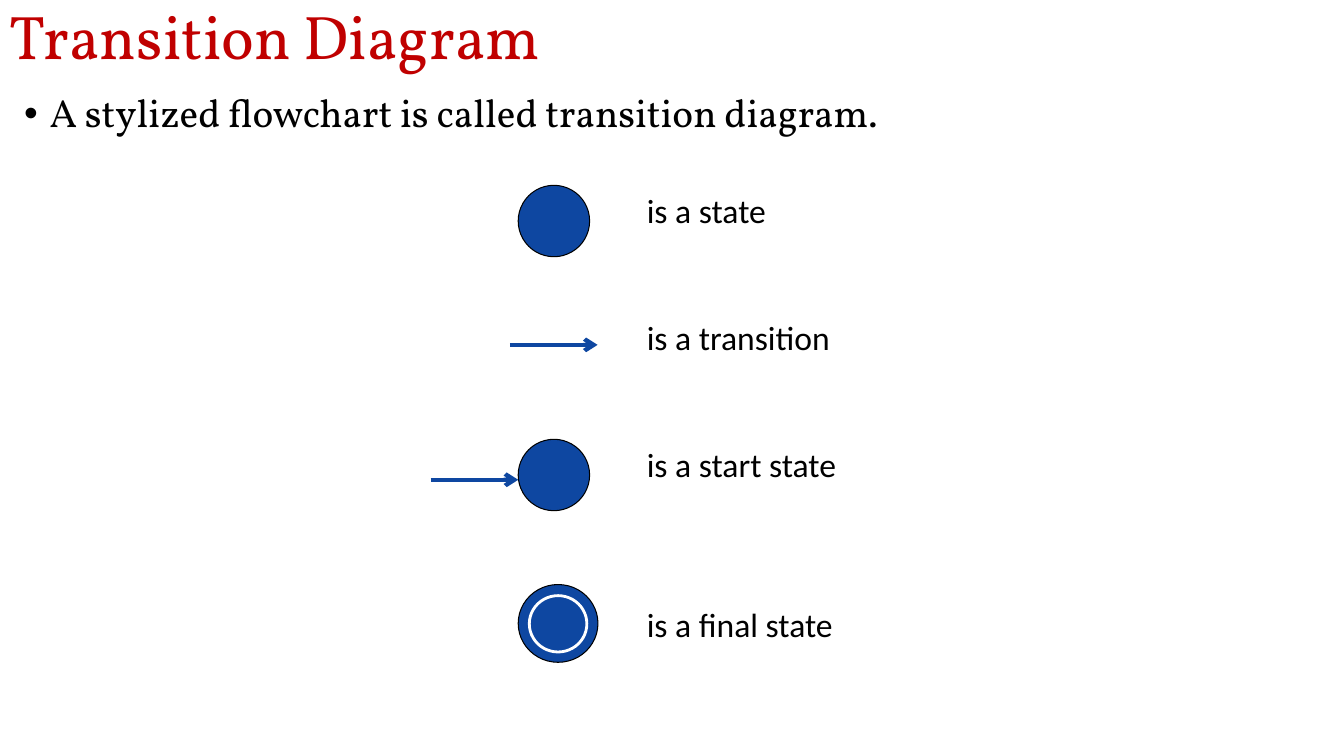
from dataclasses import dataclass

from lxml import etree
from pptx import Presentation
from pptx.dml.color import RGBColor
from pptx.enum.shapes import MSO_CONNECTOR, MSO_SHAPE
from pptx.enum.text import MSO_ANCHOR, MSO_AUTO_SIZE, PP_ALIGN
from pptx.oxml.ns import qn
from pptx.util import Cm, Pt

OVAL = MSO_SHAPE.OVAL
STRAIGHT = MSO_CONNECTOR.STRAIGHT
MIDDLE = MSO_ANCHOR.MIDDLE
JUSTIFY = PP_ALIGN.JUSTIFY
GROW = MSO_AUTO_SIZE.SHAPE_TO_FIT_TEXT


@dataclass(frozen=True)
class Theme:
    red: RGBColor = RGBColor(0xC0, 0x00, 0x00)
    blue: RGBColor = RGBColor(0x0E, 0x47, 0xA1)
    black: RGBColor = RGBColor(0x00, 0x00, 0x00)
    white: RGBColor = RGBColor(0xFF, 0xFF, 0xFF)
    serif: str = "Vollkorn"
    sans: str = "Calibri"
    title: Pt = Pt(44)
    body: Pt = Pt(28)
    label: Pt = Pt(24)
    thin: Pt = Pt(0.75)
    ring: Pt = Pt(2)
    arrow: Pt = Pt(3)


def apply(target, values):
    for key, value in values.items():
        setattr(target, key, value)


class Page:
    def __init__(self, slide, theme):
        self.shapes = slide.shapes
        self.theme = theme

    def text(self, words, box, font, color, frame, para):
        """Add a one-paragraph text box and return its paragraph."""
        area = self.shapes.add_textbox(*map(Cm, box)).text_frame
        apply(area, frame)
        line = area.paragraphs[0]
        line.text = words
        apply(line, para)
        run = line.runs[0].font
        apply(run, font)
        run.color.rgb = color
        return line

    def title(self, words):
        t = self.theme
        self.text(words, (0, 0, 33.87, 1.98),
                  {"name": t.serif, "size": t.title}, t.red,
                  {"word_wrap": True, "vertical_anchor": MIDDLE},
                  {"line_spacing": 0.9})

    def bullet(self, words):
        t = self.theme
        line = self.text(words, (0.36, 2.24, 33.15, 15.52),
                         {"name": t.serif, "size": t.body}, t.black,
                         {"word_wrap": True},
                         {"line_spacing": 0.9, "alignment": JUSTIFY})
        props = line._p.get_or_add_pPr()
        indent = Cm(0.64)
        props.set("marL", str(indent))
        props.set("indent", str(-indent))
        face = etree.SubElement(props, qn("a:buFont"))
        face.set("typeface", "Arial")
        etree.SubElement(props, qn("a:buChar")).set("char", "•")

    def label(self, words, top, width):
        t = self.theme
        self.text(words, (16.05, top, width, 1.3),
                  {"name": t.sans, "size": t.label}, t.black,
                  {"word_wrap": False, "auto_size": GROW}, {})

    def state(self, left, top, width, height, edge, weight):
        disc = self.shapes.add_shape(OVAL, *map(Cm, (left, top, width, height)))
        disc.shadow.inherit = False
        disc.fill.solid()
        disc.fill.fore_color.rgb = self.theme.blue
        disc.line.color.rgb = edge
        disc.line.width = weight

    def arrow(self, left, y, length=2.21):
        link = self.shapes.add_connector(
            STRAIGHT, *map(Cm, (left, y, left + length, y)))
        link.line.color.rgb = self.theme.blue
        link.line.width = self.theme.arrow
        head = etree.SubElement(link.line._get_or_add_ln(), qn("a:tailEnd"))
        head.set("type", "arrow")
        etree.SubElement(link._element.spPr, qn("a:effectLst"))


def main():
    deck = Presentation()
    deck.slide_width, deck.slide_height = Cm(33.87), Cm(19.05)
    theme = Theme()
    page = Page(deck.slides.add_slide(deck.slide_layouts[6]), theme)

    page.title("Transition Diagram")
    page.bullet("A stylized flowchart is called transition diagram.")

    left, first, step, size = 13.06, 4.67, 3.2, 1.8
    start = first + 2 * step
    for top in (first, start):
        page.state(left, top, size, size, theme.black, theme.thin)
    page.arrow(12.85, 8.69)
    page.arrow(10.85, 12.09)
    page.state(left, 14.73, 2.01, 1.96, theme.black, theme.thin)
    page.state(13.34, 15.01, 1.45, 1.42, theme.white, theme.ring)

    for words, top, width in (
        ("is a state", first, 3.53),
        ("is a transition", first + step, 5.16),
        ("is a start state", start, 5.51),
        ("is a final state", 15.09, 5.23),
    ):
        page.label(words, top, width)

    deck.save("out.pptx")


if __name__ == "__main__":
    main()
